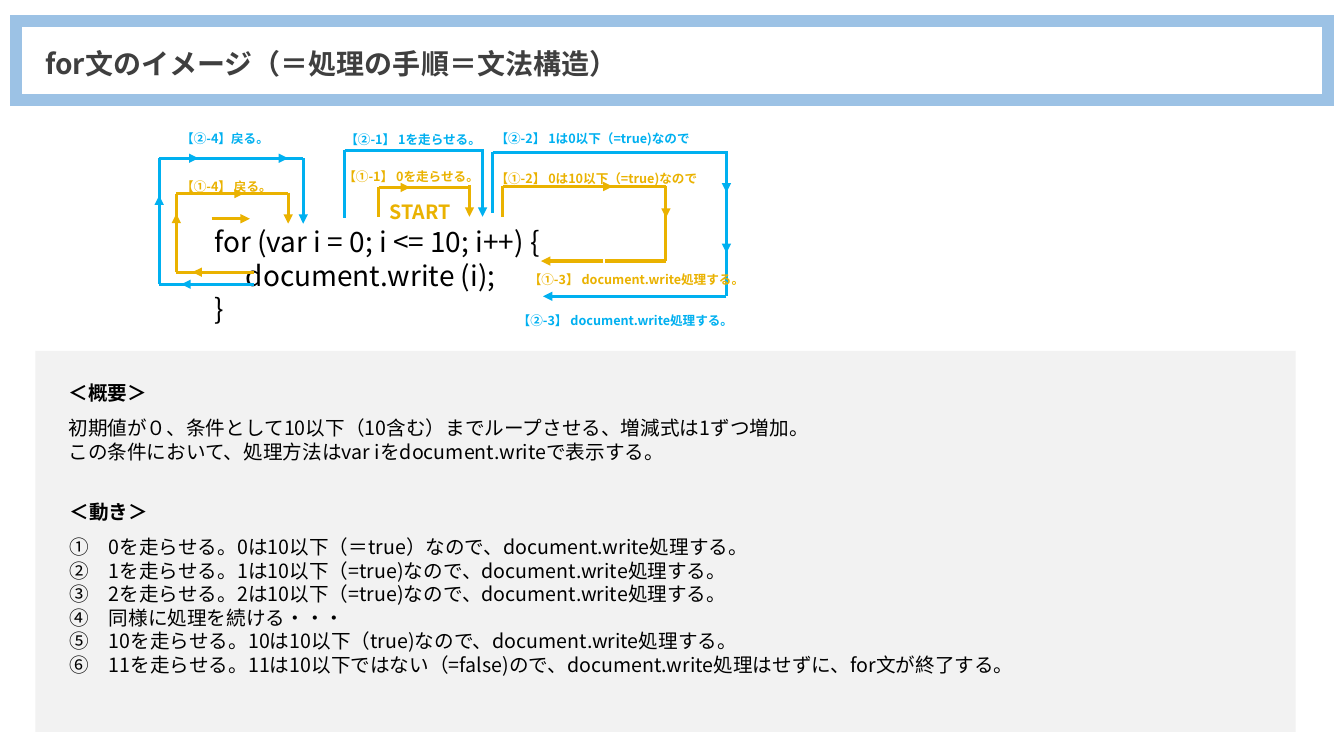
from itertools import pairwise

from lxml.etree import SubElement
from pptx import Presentation
from pptx.dml.color import RGBColor
from pptx.enum.shapes import MSO_CONNECTOR, MSO_SHAPE
from pptx.enum.text import MSO_ANCHOR, MSO_AUTO_SIZE, PP_ALIGN
from pptx.oxml.ns import qn
from pptx.util import Inches, Pt

FONT = "Noto Sans CJK JP"
GOLD, BLUE, BLACK = "EAB200", "00B0F0", "000000"


def paint(target, color):
    if hasattr(target, "solid"):
        target.solid()
        target = target.fore_color
    target.rgb = RGBColor.from_string(color)


class Board:
    def __init__(self, deck):
        self.slide = deck.slides.add_slide(deck.slide_layouts[3])
        self.shapes = self.slide.shapes

    def place(self, shape, box):
        shape.left, shape.top, shape.width, shape.height = map(Inches, box)

    def fill_text(self, shape, lines, size, color=BLACK, bold=0, wide=0):
        frame = shape.text_frame
        frame.word_wrap = True
        frame.auto_size = MSO_AUTO_SIZE.NONE
        frame.text = "\n".join(lines)
        for row, par in enumerate(frame.paragraphs):
            par.alignment = PP_ALIGN.LEFT
            par.line_spacing = 1.5 if row < wide else 1.0
            par.space_before = par.space_after = Pt(0)
            if shape.is_placeholder:
                props = par._p.get_or_add_pPr()
                props.set("marL", "0")
                props.set("indent", "0")
                SubElement(props, qn("a:buNone"))
            font = par.font
            font.size, font.bold, font.name = Pt(size), row < bold, FONT
            paint(font.color, color)
            SubElement(font._element, qn("a:ea"), typeface=FONT)

    def title(self, text, box):
        shape = self.shapes.title
        self.place(shape, box)
        paint(shape.fill, "FFFFFF")
        self.fill_text(shape, [text], 20, "3F3F3F", bold=1)
        shape.text_frame.vertical_anchor = MSO_ANCHOR.MIDDLE

    def body(self, index, lines, box):
        shape = self.slide.placeholders[index]
        self.place(shape, box)
        self.fill_text(shape, lines, 14, bold=1, wide=2)
        shape.text_frame.vertical_anchor = MSO_ANCHOR.TOP

    def text(self, lines, box, size, color=BLACK, bold=0, wide=0):
        shape = self.shapes.add_textbox(*map(Inches, box))
        self.fill_text(shape, lines, size, color, bold, wide)

    def label(self, text, left, top, color, width=4.12):
        self.text([text], (left, top, width, 0.33), 9, color, bold=1, wide=1)

    def panel(self, box, color):
        shape = self.shapes.add_shape(MSO_SHAPE.RECTANGLE, *map(Inches, box))
        shape.shadow.inherit = False
        paint(shape.fill, color)
        shape.line.fill.background()
        self.shapes._spTree.insert(2, shape._element)

    def frame(self, box, color, width):
        shape = self.shapes.add_shape(MSO_SHAPE.RECTANGLE, *map(Inches, box))
        shape.shadow.inherit = False
        shape.fill.background()
        paint(shape.line.fill, color)
        shape.line.width = Pt(width)
        SubElement(shape.line._get_or_add_ln(), qn("a:miter"), lim="800000")

    def line(self, start, end, color, head=False):
        link = self.shapes.add_connector(
            MSO_CONNECTOR.STRAIGHT, *map(Inches, (*start, *end)))
        paint(link.line.fill, color)
        link.line.width = Pt(2.25)
        if head:
            SubElement(link.line._get_or_add_ln(), qn("a:tailEnd"), type="triangle")
        SubElement(link._element.spPr, qn("a:effectLst"))

    def trail(self, color, *points):
        for start, end in pairwise(points):
            self.line(start, end, color)

    def arrows(self, color, *pairs):
        for start, end in pairs:
            self.line(start, end, color, head=True)


def main():
    deck = Presentation()
    deck.slide_width, deck.slide_height = Inches(13.34), Inches(7.5)
    board = Board(deck)

    board.title("for文のイメージ（＝処理の手順＝文法構造）", (0.35, 0.34, 12.64, 0.57))
    board.frame((0.16, 0.21, 13.02, 0.78), "9CC2E5", 8.75)
    board.panel((0.35, 3.48, 12.51, 3.78), "F2F2F2")
    board.text(["for (var i = 0; i <= 10; i++) {", "     document.write (i);", "}"],
               (2.03, 2.18, 6.67, 1.1), 20)
    board.body(1, [
        "＜概要＞",
        "初期値が０、条件として10以下（10含む）までループさせる、増減式は1ずつ増加。",
        "この条件において、処理方法はvar iをdocument.writeで表示する。",
    ], (0.58, 3.61, 10.63, 1.04))
    board.body(2, [
        "＜動き＞",
        "①　0を走らせる。0は10以下（＝true）なので、document.write処理する。",
        "②　1を走らせる。1は10以下（=true)なので、document.write処理する。",
        "③　2を走らせる。2は10以下（=true)なので、document.write処理する。",
        "④　同様に処理を続ける・・・",
        "⑤　10を走らせる。10は10以下（true)なので、document.write処理する。",
        "⑥　11を走らせる。11は10以下ではない（=false)ので、"
        "document.write処理はせずに、for文が終了する。",
    ], (0.59, 4.79, 11.94, 1.97))

    board.trail(GOLD, (3.76, 2.15), (3.76, 1.86), (4.66, 1.86))
    board.trail(GOLD, (4.99, 2.15), (4.99, 1.85), (6.61, 1.85), (6.61, 2.59), (6.01, 2.59))
    board.trail(GOLD, (2.52, 2.7), (1.75, 2.7), (1.75, 1.92), (2.86, 1.92))
    board.arrows(
        GOLD,
        ((3.76, 1.86), (4.07, 1.86)),
        ((4.66, 1.84), (4.66, 2.15)),
        ((5.39, 1.85), (6.08, 1.85)),
        ((6.61, 1.85), (6.61, 2.16)),
        ((5.99, 2.59), (5.37, 2.59)),
        ((2.52, 2.7), (1.91, 2.7)),
        ((1.75, 2.68), (1.75, 2.12)),
        ((2.03, 1.92), (2.42, 1.92)),
        ((2.86, 1.91), (2.86, 2.22)),
        ((2.1, 2.17), (2.48, 2.17)),
    )

    board.trail(BLUE, (3.42, 2.16), (3.42, 1.49), (4.79, 1.49))
    board.trail(BLUE, (4.89, 2.11), (4.89, 1.51), (7.21, 1.51), (7.21, 2.94), (5.59, 2.94))
    board.trail(BLUE, (2.52, 2.82), (1.58, 2.82), (1.58, 1.57), (3.01, 1.57))
    board.arrows(
        BLUE,
        ((4.79, 1.48), (4.79, 2.15)),
        ((7.21, 1.5), (7.21, 1.91)),
        ((7.21, 1.74), (7.21, 2.51)),
        ((7.01, 2.94), (5.39, 2.94)),
        ((2.42, 2.82), (1.8, 2.82)),
        ((1.58, 2.5), (1.58, 1.94)),
        ((1.58, 1.57), (1.97, 1.57)),
        ((1.91, 1.57), (2.86, 1.57)),
        ((3.01, 1.57), (3.01, 2.22)),
    )

    board.label("【①-1】 0を走らせる。", 3.31, 1.55, GOLD, 2.06)
    board.label("【①-2】 0は10以下（=true)なので", 4.82, 1.57, GOLD)
    board.label("【①-3】 document.write処理する。", 5.15, 2.57, GOLD)
    board.label("【①-4】 戻る。", 1.7, 1.65, GOLD)
    board.label("【②-1】 1を走らせる。", 3.33, 1.18, BLUE)
    board.label("【②-2】 1は0以下（=true)なので", 4.82, 1.17, BLUE)
    board.label("【②-3】 document.write処理する。", 5.04, 2.98, BLUE)
    board.label("【②-4】戻る。", 1.7, 1.17, BLUE)
    board.text(["START"], (3.77, 1.82, 1.2, 0.45), 14, GOLD, bold=1, wide=1)

    deck.save("out.pptx")


if __name__ == "__main__":
    main()
